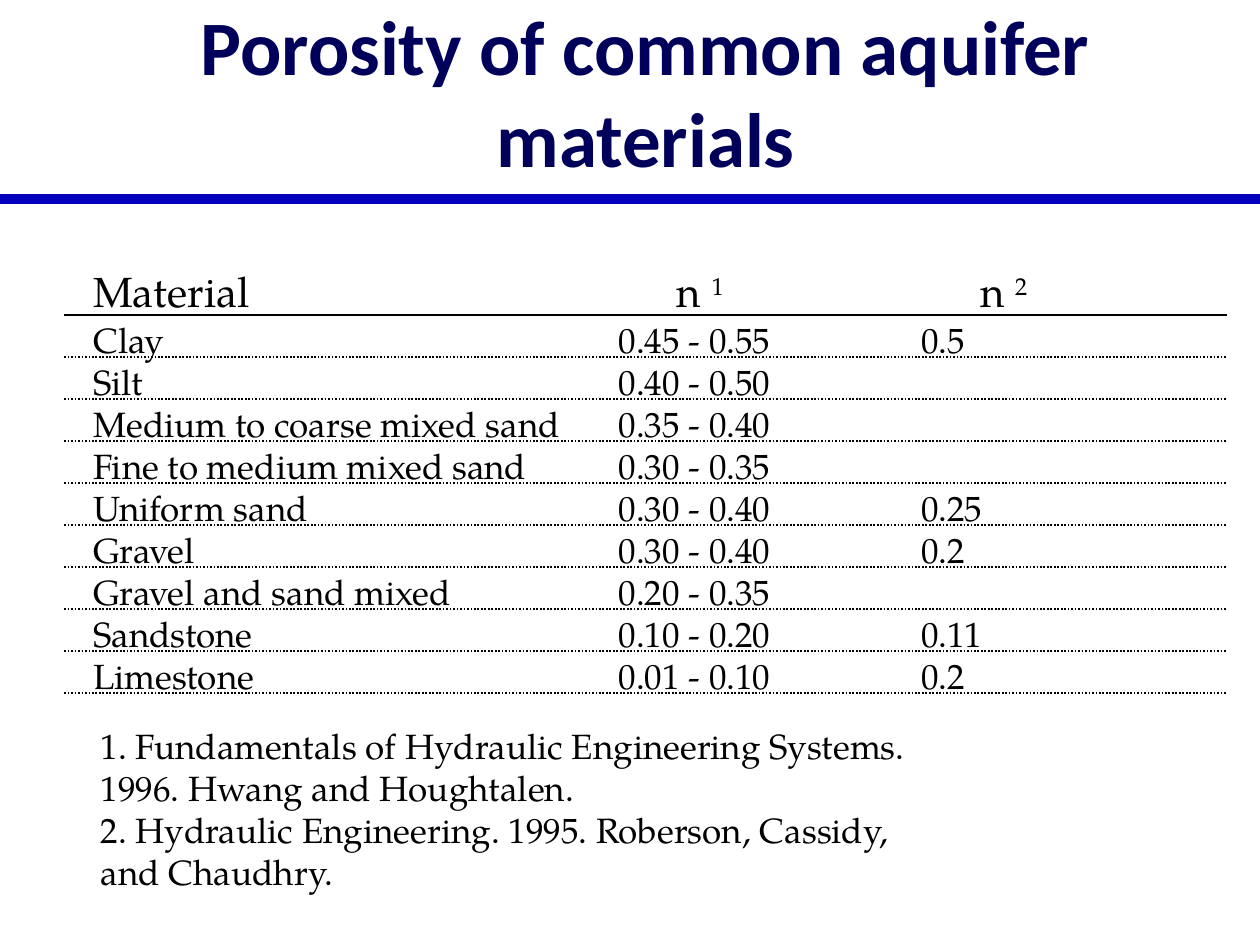
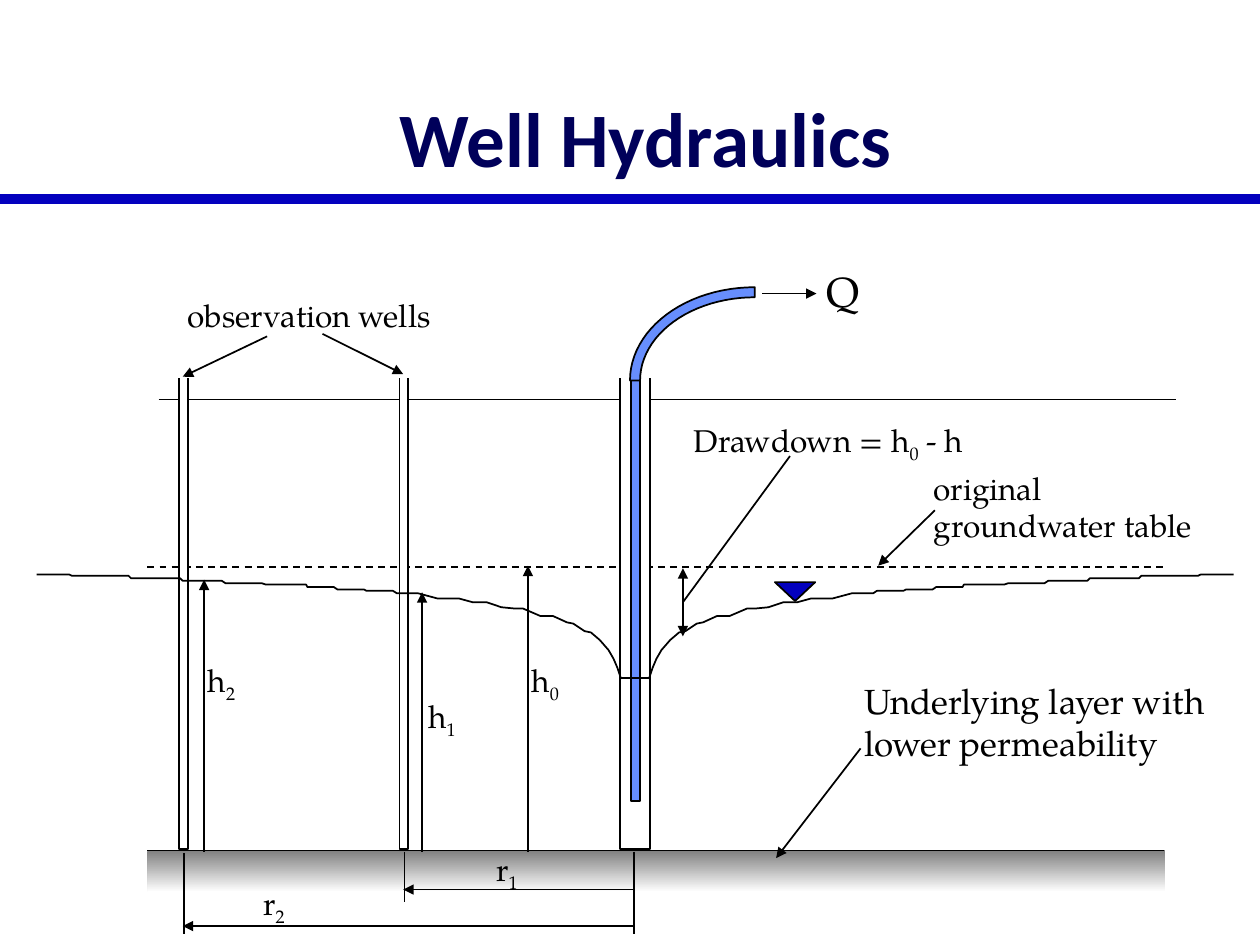
from math import cos, pi, sin

from lxml import etree
from pptx import Presentation
from pptx.dml.color import RGBColor
from pptx.enum.dml import MSO_LINE
from pptx.enum.shapes import MSO_CONNECTOR, MSO_SHAPE
from pptx.enum.text import MSO_ANCHOR, PP_ALIGN
from pptx.oxml.ns import qn
from pptx.util import Inches, Pt

STRAIGHT = MSO_CONNECTOR.STRAIGHT
RECTANGLE, TRIANGLE = MSO_SHAPE.RECTANGLE, MSO_SHAPE.ISOSCELES_TRIANGLE
DASH, DOTS = MSO_LINE.DASH, MSO_LINE.ROUND_DOT  # ROUND_DOT is sysDot
BOTTOM = MSO_ANCHOR.BOTTOM
LEFT, CENTER = PP_ALIGN.LEFT, PP_ALIGN.CENTER
NO_GRID_STYLE = "{2D5ABB26-0587-4C30-8999-92F81FD0307C}"


class Theme:
    """Colours, fonts and type sizes of both slides."""
    ink = RGBColor.from_string("000000")
    paper = RGBColor.from_string("FFFFFF")
    navy = RGBColor.from_string("00005A")
    band = RGBColor.from_string("0300BE")
    water = RGBColor.from_string("678EFD")
    rock = RGBColor.from_string("808080")
    title_font, body_font = "Calibri", "TeX Gyre Pagella"
    title, heading, body, label = 44, 24, 20, 18


prs = Presentation()
prs.slide_width, prs.slide_height = Inches(10), Inches(7.5)
COL = prs.slide_width / 10    # the grid has 10 columns
ROW = prs.slide_height / 7.5  # and 7.5 rows


def write(frame, paragraphs, size, font=Theme.body_font, color=Theme.ink,
          bold=False, align=LEFT):
    """Fill a text frame; a paragraph is a string or (text, baseline) runs."""
    for number, content in enumerate(paragraphs):
        paragraph = frame.add_paragraph() if number else frame.paragraphs[0]
        paragraph.alignment = align
        for words, baseline in [(content, 0)] if isinstance(content, str) else content:
            run = paragraph.add_run()
            run.text = words
            run.font.size, run.font.name, run.font.bold = Pt(size), font, bold
            run.font.color.rgb = color
            if baseline:
                run.font._element.set("baseline", str(baseline * 1000))


def rule(slide, start, end, color=Theme.ink, width=1, dash=None, arrows=()):
    """Draw a straight line between two grid points, with arrows if named."""
    line = slide.shapes.add_connector(
        STRAIGHT, int(start[0] * COL), int(start[1] * ROW),
        int(end[0] * COL), int(end[1] * ROW))
    line.line.color.rgb, line.line.width = color, Pt(width)
    if dash:
        line.line.dash_style = dash
    for arrow in arrows:
        etree.SubElement(line.line._get_or_add_ln(), qn(f"a:{arrow}"), type="triangle")
    etree.SubElement(line._element.spPr, qn("a:effectLst"))


# Title and band on each slide
slides = []
for heading in ("Porosity of common aquifer materials", "Well Hydraulics"):
    slide = prs.slides.add_slide(prs.slide_layouts[6])
    rule(slide, (0, 1.58), (10, 1.58), Theme.band, 6)
    frame = slide.shapes.add_textbox(
        int(0.5 * COL), int(0.25 * ROW), int(9.25 * COL), int(1.25 * ROW)).text_frame
    frame.word_wrap, frame.vertical_anchor = True, BOTTOM
    write(frame, [heading], Theme.title, Theme.title_font, Theme.navy, True, CENTER)
    slides.append(slide)
porosity, wells = slides

# Slide 1: porosity table
materials = [
    ("Material", [("n ", 0), ("1", 30)], [("n ", 0), ("2", 30)]),
    ("Clay", "0.45 - 0.55", "0.5"),
    ("Silt", "0.40 - 0.50", ""),
    ("Medium to coarse mixed sand", "0.35 - 0.40", ""),
    ("Fine to medium mixed sand", "0.30 - 0.35", ""),
    ("Uniform sand", "0.30 - 0.40", "0.25"),
    ("Gravel", "0.30 - 0.40", "0.2"),
    ("Gravel and sand mixed", "0.20 - 0.35", ""),
    ("Sandstone", "0.10 - 0.20", "0.11"),
    ("Limestone", "0.01 - 0.10", "0.2"),
]
column_widths = (4.3, 2.4, 2.53)
body_indents, heading_indents = (0.23, 0.1, 0.1), (0.23, 0.56, 0.57)
table = porosity.shapes.add_table(
    len(materials), len(column_widths), int(0.51 * COL), int(2.2 * ROW),
    int(sum(column_widths) * COL), int(3.4 * ROW)).table
table.first_row = table.horz_banding = False
table._tbl.tblPr.find(qn("a:tableStyleId")).text = NO_GRID_STYLE
for column, width in zip(table.columns, column_widths):
    column.width = int(width * COL)
for r, material in enumerate(materials):
    table.rows[r].height = int((1 / 3 if r else 0.4) * ROW)
    # The rules sit close under the text, above the edge of the row
    rule_y = 2.5 + r / 3
    rule(porosity, (0.51, rule_y), (9.74, rule_y), dash=DOTS if r else None)
    for c, content in enumerate(material):
        cell = table.cell(r, c)
        cell.margin_top = cell.margin_bottom = cell.margin_right = 0
        cell.margin_left = int((body_indents if r else heading_indents)[c] * COL)
        cell.fill.background()
        write(cell.text_frame, [content], Theme.body if r else Theme.heading)

references = porosity.shapes.add_textbox(
    int(0.7 * COL), int(5.7 * ROW), int(6.87 * COL), int(1.44 * ROW)).text_frame
references.word_wrap = True
write(references, [
    "1. Fundamentals of Hydraulic Engineering Systems. 1996. Hwang and Houghtalen.",
    "2. Hydraulic Engineering. 1995. Roberson, Cassidy, and Chaudhry."], Theme.body)

# Slide 2: ground, levels and wells
bedrock = wells.shapes.add_shape(
    RECTANGLE, int(1.17 * COL), int(6.75 * ROW), int(8.08 * COL), int(0.33 * ROW))
bedrock.shadow.inherit = False
bedrock.line.fill.background()
bedrock.fill.gradient()
bedrock.fill.gradient_angle = 270
for stop, color in zip(bedrock.fill.gradient_stops, (Theme.rock, Theme.paper)):
    stop.color.rgb = color
rule(wells, (1.17, 6.75), (9.24, 6.75))
rule(wells, (1.26, 3.17), (9.33, 3.17))
rule(wells, (1.17, 4.5), (9.24, 4.5), dash=DASH)

casings = [  # left, top, width, height, fill, outlined
    (4.92, 2.84, 0.24, 3.9, Theme.paper, True),    # pumped well
    (3.17, 2.92, 0.07, 3.82, Theme.paper, True),   # observation well 1
    (1.42, 2.92, 0.07, 3.82, Theme.paper, True),   # observation well 2
    (1.17, 2.75, 4.08, 0.25, Theme.paper, False),  # opens the well tops
    (5.01, 3.01, 0.07, 3.35, Theme.water, True),   # riser pipe
    (6.15, 4.62, 0.32, 0.15, Theme.band, True),    # water level mark
]
for left, top, width, height, color, outlined in casings:
    is_mark = color == Theme.band
    part = wells.shapes.add_shape(
        TRIANGLE if is_mark else RECTANGLE,
        int(left * COL), int(top * ROW), int(width * COL), int(height * ROW))
    part.rotation = 180 if is_mark else 0
    part.shadow.inherit = False
    part.fill.solid()
    part.fill.fore_color.rgb = color
    if outlined:
        part.line.color.rgb, part.line.width = Theme.ink, Pt(1)
    else:
        part.line.fill.background()

# Drawdown curve mirrored about the well, and the bent outlet pipe
WELL_AXIS = 5.04
right_curve = [
    (5.15, 5.39), (5.18, 5.3), (5.21, 5.23), (5.25, 5.16), (5.32, 5.08),
    (5.39, 5.02), (5.44, 5.01), (5.53, 4.95), (5.58, 4.94), (5.69, 4.89),
    (5.79, 4.89), (5.93, 4.83), (6.0, 4.83), (6.1, 4.82), (6.22, 4.78),
    (6.33, 4.78), (6.44, 4.75), (6.61, 4.75), (6.76, 4.71), (6.93, 4.71),
    (6.96, 4.69), (7.17, 4.69), (7.19, 4.68), (7.4, 4.68), (7.43, 4.66),
    (7.64, 4.66), (7.65, 4.64), (7.97, 4.64), (8.0, 4.63), (8.29, 4.63),
    (8.32, 4.61), (8.63, 4.61), (8.65, 4.59), (9.04, 4.59), (9.06, 4.57),
    (9.51, 4.57), (9.53, 4.56), (9.79, 4.56)]
left_curve = [(2 * WELL_AXIS - x, y) for x, y in right_curve]
quarter = [pi / 2 * step / 24 for step in range(25)]
outer, inner = [
    [(5.99 - across * cos(a), 3.02 - up * sin(a)) for a in quarter]
    for across, up in ((0.99, 0.74), (0.91, 0.66))]
for points, closed in ((right_curve, False), (left_curve, False),
                       (outer + inner[::-1], True)):
    spots = [(int(x * COL), int(y * ROW)) for x, y in points]
    builder = wells.shapes.build_freeform(*spots[0], scale=1.0)
    builder.add_line_segments(spots[1:], close=closed)
    outline = builder.convert_to_shape()
    outline.shadow.inherit = False
    outline.line.color.rgb, outline.line.width = Theme.ink, Pt(1)
    if closed:
        outline.fill.solid()
        outline.fill.fore_color.rgb = Theme.water
    else:
        outline.fill.background()

# Dimensions, extension lines and leaders
for start, end in [
        ((4.92, 5.38), (5.16, 5.38)),   # water level in the well
        ((5.03, 6.76), (5.03, 7.41)),   # well axis
        ((3.21, 6.76), (3.21, 7.16)),   # observation well 1
        ((1.46, 6.77), (1.46, 7.41)),   # observation well 2
        ((6.27, 3.62), (5.42, 4.78))]:  # drawdown leader
    rule(wells, start, end)
for start, end in [
        ((6.05, 2.33), (6.48, 2.33)),   # Q
        ((7.42, 4.05), (6.97, 4.49)),   # original groundwater table
        ((5.03, 7.06), (3.2, 7.06)),    # r1
        ((5.03, 7.35), (1.45, 7.35)),   # r2
        ((1.62, 6.76), (1.62, 4.6)),    # h2
        ((3.35, 6.76), (3.35, 4.7)),    # h1
        ((4.19, 6.76), (4.19, 4.49)),   # h0
        ((2.12, 2.67), (1.45, 2.99)),   # observation wells
        ((2.56, 2.65), (3.2, 2.97)),
        ((6.83, 5.94), (6.16, 6.81))]:  # underlying layer
    rule(wells, start, end, arrows=["tailEnd"])
rule(wells, (5.42, 5.05), (5.42, 4.51), arrows=["headEnd", "tailEnd"])

# Labels: left, top, width, height, wraps, size, content
labels = [
    (1.39, 2.3, 2.16, 0.41, False, Theme.label, "observation wells"),
    (6.46, 2.06, 0.47, 0.51, False, Theme.heading, "Q"),
    (7.31, 3.67, 2.43, 0.71, True, Theme.label, "original groundwater table"),
    (6.76, 5.34, 2.93, 1.11, True, Theme.body,
     "Underlying layer with lower permeability"),
    (5.41, 3.29, 2.34, 0.41, False, Theme.label,
     [("Drawdown = h", 0), ("0", -25), (" - h", 0)]),
]
for letter, index, left, top, width in [
        ("h", "2", 1.55, 5.2, 0.44), ("h", "1", 3.3, 5.48, 0.44),
        ("h", "0", 4.12, 5.2, 0.44), ("r", "2", 1.99, 6.97, 0.39),
        ("r", "1", 3.84, 6.7, 0.39)]:
    labels.append((left, top, width, 0.41, False, Theme.label,
                   [(letter, 0), (index, -25)]))
for left, top, width, height, wraps, size, content in labels:
    frame = wells.shapes.add_textbox(
        int(left * COL), int(top * ROW), int(width * COL), int(height * ROW)).text_frame
    frame.word_wrap = wraps
    write(frame, [content], size)

prs.save("out.pptx")
